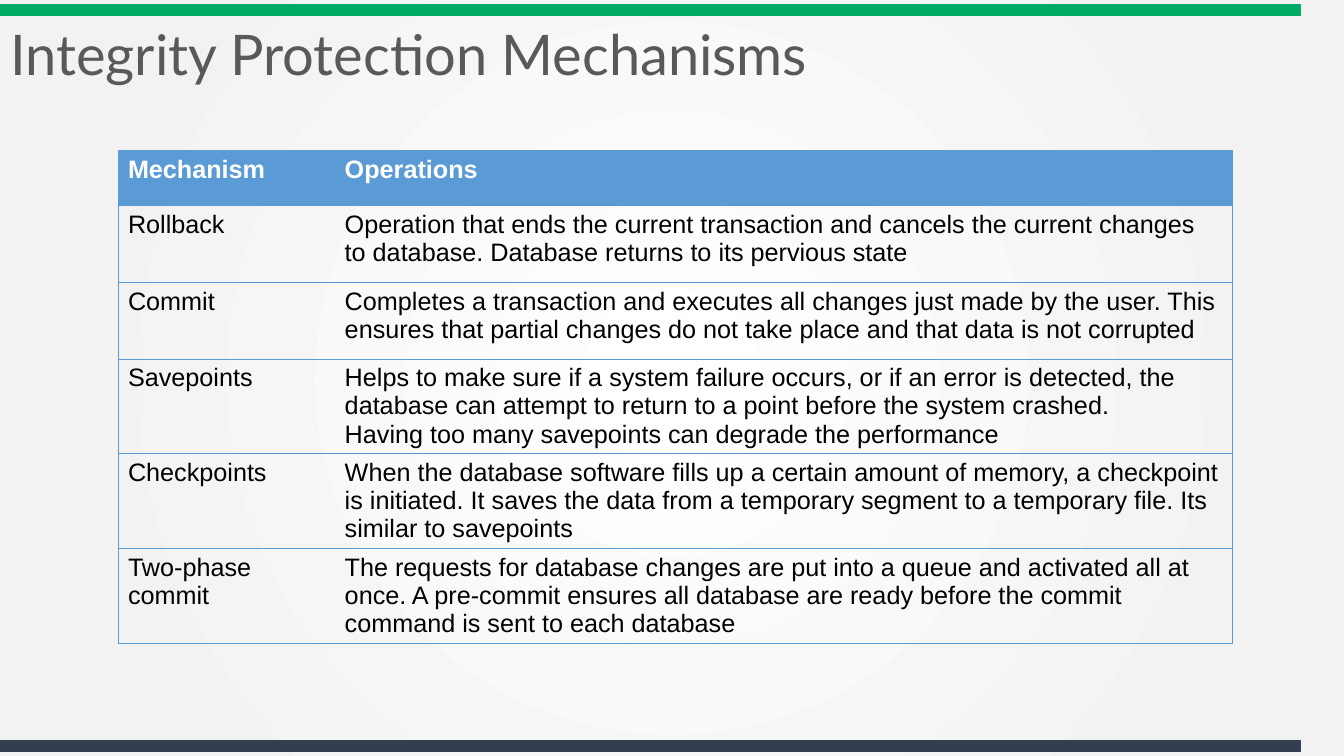
"""Build the slide on integrity protection mechanisms with its table."""
from dataclasses import dataclass

import pptx
import pptx.dml.color
import pptx.enum.shapes
import pptx.enum.text
import pptx.oxml
import pptx.oxml.ns
import pptx.util
from pptx.util import Pt


@dataclass(frozen=True)
class Theme:
    """Colours, fonts and type sizes."""
    green: str = "00AC65"
    navy: str = "333F50"
    blue: str = "5B9BD5"
    grey: str = "595959"
    black: str = "000000"
    white: str = "FFFFFF"
    edge: str = "F2F2F2"
    title_font: str = "Lato"
    body_font: str = "Arial"
    title_size: float = 40
    body_size: float = 18
    border: float = 0.5


@dataclass(frozen=True)
class Bar:
    """A band across the slide."""
    top: float
    color: str


@dataclass(frozen=True)
class Mechanism:
    """A table row; each line of operations is a paragraph."""
    name: str
    operations: str


THEME = Theme()
BARS = [Bar(3.6, THEME.green), Bar(529.2, THEME.navy)]
HEADER = Mechanism("Mechanism", "Operations")
MECHANISMS = [
    Mechanism("Rollback",
              "Operation that ends the current transaction and cancels the current "
              "changes to database. Database returns to its pervious state"),
    Mechanism("Commit",
              "Completes a transaction and executes all changes just made by the user. "
              "This ensures that partial changes do not take place and that data is "
              "not corrupted"),
    Mechanism("Savepoints",
              "Helps to make sure if a system failure occurs, or if an error is "
              "detected, the database can attempt to return to a point before the "
              "system crashed.\nHaving too many savepoints can degrade the performance"),
    Mechanism("Checkpoints",
              "When the database software fills up a certain amount of memory, a "
              "checkpoint is initiated. It saves the data from a temporary segment to "
              "a temporary file. Its similar to savepoints"),
    Mechanism("Two-phase commit",
              "The requests for database changes are put into a queue and activated "
              "all at once. A pre-commit ensures all database are ready before the "
              "commit command is sent to each database"),
]
COLUMN_WIDTHS = (154.8, 641.5)
HEADER_HEIGHT, ROW_HEIGHT, TABLE_HEIGHT = 39.6, 54.72, 365.76
NO_STYLE = "{2D5ABB26-0587-4C30-8999-92F81FD0307C}"


def rgb(color: str) -> pptx.dml.color.RGBColor:
    """Turn a hex string into a colour."""
    return pptx.dml.color.RGBColor.from_string(color)


def write(tf, text: str, *, font: str = THEME.body_font, size: float = THEME.body_size,
          color: str = THEME.black, bold: bool = False, spacing: float = 1.0) -> None:
    """Write left-aligned text, one paragraph a line."""
    tf.word_wrap = True
    for i, line in enumerate(text.split("\n")):
        p = tf.paragraphs[0] if i == 0 else tf.add_paragraph()
        p.alignment = pptx.enum.text.PP_ALIGN.LEFT
        p.line_spacing = spacing
        r = p.add_run()
        r.text = line
        r.font.name, r.font.size, r.font.bold = font, Pt(size), bold
        r.font.color.rgb = rgb(color)


def paint_background(s) -> None:
    """Fill the slide with a circular gradient."""
    fill = s.background.fill
    fill.gradient()
    for stop, color, position in zip(fill.gradient_stops, (THEME.white, THEME.edge), (0, 0.81)):
        stop.color.rgb = rgb(color)
        stop.position = position
    lin = next(s.element.iter(pptx.oxml.ns.qn("a:lin")))
    lin.getparent().replace(lin, pptx.oxml.parse_xml(
        f'<a:path {pptx.oxml.ns.nsdecls("a")} path="circle">'
        '<a:fillToRect l="50000" t="50000" r="50000" b="50000"/></a:path>'))


def add_bar(s, bar: Bar) -> None:
    """Draw a band."""
    sp = s.shapes.add_shape(pptx.enum.shapes.MSO_SHAPE.RECTANGLE,
                            Pt(0), Pt(bar.top), Pt(928.8), Pt(7.2))
    sp.shadow.inherit = False
    sp.fill.solid()
    sp.fill.fore_color.rgb = rgb(bar.color)
    sp.line.color.rgb = rgb(bar.color)
    sp.line.width = Pt(1)


def add_title(s, text: str) -> None:
    """Place and write the title."""
    sp = s.shapes.title
    sp.left, sp.top, sp.width, sp.height = Pt(0), Pt(12.24), Pt(931.7), Pt(57.6)
    tf = sp.text_frame
    tf.auto_size = pptx.enum.text.MSO_AUTO_SIZE.NONE
    tf.vertical_anchor = pptx.enum.text.MSO_ANCHOR.MIDDLE
    write(tf, text, font=THEME.title_font, size=THEME.title_size,
          color=THEME.grey, spacing=0.9)


def set_borders(cell, sides: str) -> None:
    """Rule the given sides of a cell, in the order L, R, T, B."""
    tc_pr = cell._tc.get_or_add_tcPr()
    for side in sides:
        tc_pr.append(pptx.oxml.parse_xml(
            f'<a:ln{side} {pptx.oxml.ns.nsdecls("a")} w="{Pt(THEME.border)}">'
            f'<a:solidFill><a:srgbClr val="{THEME.blue}"/></a:solidFill></a:ln{side}>'))


def add_mechanism_table(s, rows: list[Mechanism]) -> None:
    """Draw the table, its first row as the header."""
    frame = s.shapes.add_table(len(rows), len(COLUMN_WIDTHS), Pt(84.24), Pt(107.28),
                               Pt(sum(COLUMN_WIDTHS)), Pt(TABLE_HEIGHT))
    next(frame.element.iter(pptx.oxml.ns.qn("a:tableStyleId"))).text = NO_STYLE
    table = frame.table
    table.horz_banding = False
    for column, width in zip(table.columns, COLUMN_WIDTHS):
        column.width = Pt(width)
    for i, row in enumerate(rows):
        is_header = i == 0
        table.rows[i].height = Pt(HEADER_HEIGHT if is_header else ROW_HEIGHT)
        for j, (text, side) in enumerate(((row.name, "L"), (row.operations, "R"))):
            cell = table.cell(i, j)
            set_borders(cell, side + "TB")
            if is_header:
                cell.fill.solid()
                cell.fill.fore_color.rgb = rgb(THEME.blue)
            else:
                cell.fill.background()
            write(cell.text_frame, text, bold=is_header,
                  color=THEME.white if is_header else THEME.black)
    frame.height = Pt(TABLE_HEIGHT)


def main() -> None:
    """Build and save the slide."""
    prs = pptx.Presentation()
    prs.slide_width, prs.slide_height = Pt(960), Pt(540)
    s = prs.slides.add_slide(prs.slide_layouts.get_by_name("Title Only"))
    paint_background(s)
    for bar in BARS:
        add_bar(s, bar)
    add_title(s, "Integrity Protection Mechanisms")
    add_mechanism_table(s, [HEADER, *MECHANISMS])
    prs.save("out.pptx")


if __name__ == "__main__":
    main()
